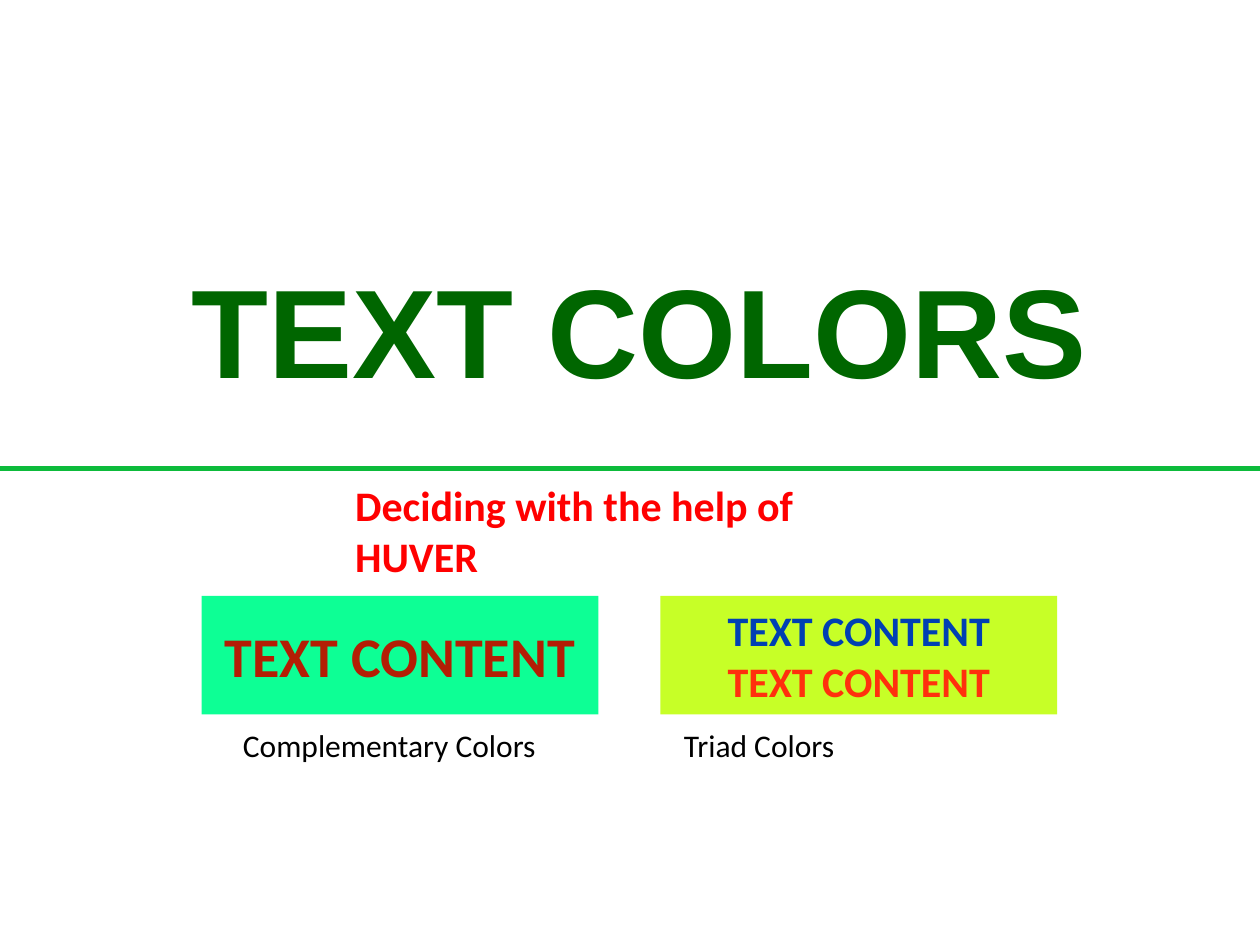
from dataclasses import dataclass

from lxml.etree import SubElement
from pptx import Presentation
from pptx.dml.color import RGBColor
from pptx.enum.shapes import MSO_CONNECTOR as Connector, MSO_SHAPE as Shape
from pptx.enum.text import MSO_ANCHOR as Anchor, PP_ALIGN as Align
from pptx.oxml.ns import qn
from pptx.util import Pt


@dataclass(frozen=True)
class Theme:
    """Fonts, colours and type sizes of the slide."""
    heading_font: str = "Arial"
    body_font: str = "Calibri"
    title: str = "006600"
    subtitle: str = "FF0000"
    rule: str = "0DBB3B"
    caption: str = "000000"
    mint: str = "0DFF95"
    brick: str = "B31E05"
    lime: str = "C7FF27"
    blue: str = "0040B3"
    orange: str = "FF300D"
    title_size: int = 72
    large_size: int = 32
    medium_size: int = 24
    caption_size: int = 18


THEME = Theme()


def color(value):
    """Turn a hex string into a colour."""
    return RGBColor.from_string(value)


def style(paragraph, size, ink, bold=True, font=THEME.body_font):
    """Format every run of a paragraph."""
    for run in paragraph.runs:
        run.font.name = font
        run.font.size = Pt(size)
        run.font.bold = bold
        run.font.color.rgb = color(ink)


def add_text(slide, box, text, size, ink, wrap=False, **options):
    """Place one line of text in a box and return its text frame."""
    text_frame = slide.shapes.add_textbox(*map(Pt, box)).text_frame
    text_frame.word_wrap = wrap
    text_frame.text = text
    style(text_frame.paragraphs[0], size, ink, **options)
    return text_frame


def add_heading(slide, box):
    """Place the title, the rule across the slide and the subtitle."""
    left, top, width, height = box
    title = add_text(slide, (left + 50.4, top, 630, 133.2), "TEXT COLORS",
                     THEME.title_size, THEME.title, wrap=True, font=THEME.heading_font)
    title.margin_top = Pt(9.6)
    title.paragraphs[0].alignment = Align.CENTER
    add_text(slide, (left + 195.84, top + height - 36, 336.96, 36),
             "Deciding with the help of HUVER", THEME.medium_size, THEME.subtitle)
    rule_y = Pt(top + 133.2)
    rule = slide.shapes.add_connector(Connector.STRAIGHT, Pt(left), rule_y,
                                      Pt(left + width), rule_y)
    rule.line.color.rgb = color(THEME.rule)
    rule.line.width = Pt(3)
    SubElement(rule._element.spPr, qn("a:effectLst"))


def add_swatch(slide, box, fill, inks, size, caption, caption_offset, caption_width):
    """Place a filled sample with one line per ink and a caption below."""
    left, top, width, height = box
    swatch = slide.shapes.add_shape(Shape.RECTANGLE, *map(Pt, box))
    swatch.shadow.inherit = False
    swatch.fill.solid()
    swatch.fill.fore_color.rgb = color(fill)
    swatch.line.fill.background()
    text_frame = swatch.text_frame
    text_frame.word_wrap = True
    text_frame.vertical_anchor = Anchor.MIDDLE
    text_frame.text = "\n".join(["TEXT CONTENT"] * len(inks))
    for paragraph, ink in zip(text_frame.paragraphs, inks):
        paragraph.alignment = Align.CENTER
        style(paragraph, size, ink)
    add_text(slide, (left + caption_offset, top + height + 2.9, caption_width, 28.8),
             caption, THEME.caption_size, THEME.caption, bold=False)


def add_swatches(slide, box):
    """Place the samples in equal columns of the box."""
    left, top, width, height = box
    swatch_width = 226.8
    samples = (
        (THEME.mint, (THEME.brick,), THEME.large_size,
         "Complementary Colors", 16.56, 183.6),
        (THEME.lime, (THEME.blue, THEME.orange), THEME.medium_size,
         "Triad Colors", 6.48, 101.52),
    )
    step = (width - swatch_width) / (len(samples) - 1)
    for column, sample in enumerate(samples):
        add_swatch(slide, (left + column * step, top, swatch_width, height), *sample)


def main():
    """Build and save the slide."""
    presentation = Presentation()
    presentation.slide_width, presentation.slide_height = Pt(720), Pt(540)
    slide = presentation.slides.add_slide(presentation.slide_layouts[6])
    add_heading(slide, (0, 134.64, 720, 172.08))
    add_swatches(slide, (115.2, 340.56, 488.88, 67.68))
    presentation.save("out.pptx")


if __name__ == "__main__":
    main()
